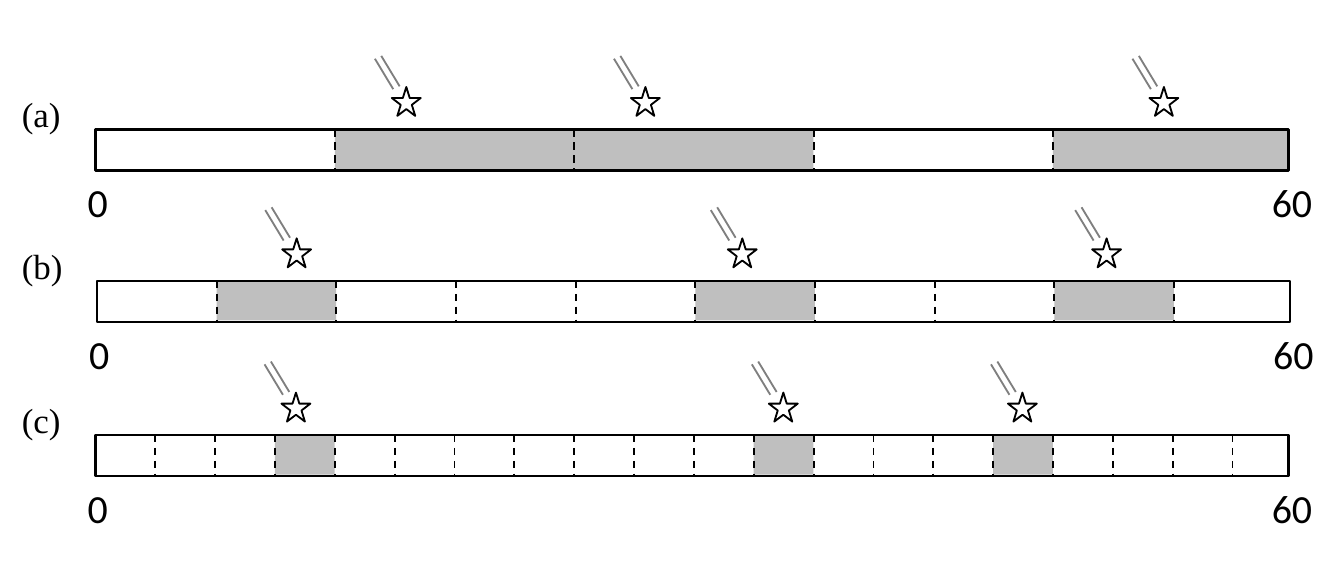
from lxml import etree
from pptx import Presentation
from pptx.dml.color import RGBColor
from pptx.enum.dml import MSO_LINE
from pptx.enum.shapes import MSO_CONNECTOR, MSO_SHAPE
from pptx.enum.text import MSO_AUTO_SIZE
from pptx.oxml.ns import qn
from pptx.util import Cm, Pt

RECTANGLE = MSO_SHAPE.RECTANGLE
STAR = MSO_SHAPE.STAR_5_POINT
STRAIGHT = MSO_CONNECTOR.STRAIGHT
DASH = MSO_LINE.DASH
FIT_SHAPE = MSO_AUTO_SIZE.SHAPE_TO_FIT_TEXT

COLORS = {"ink": "000000", "shade": "BFBFBF", "trail": "7F7F7F"}

# All lengths are in centimetres.
BAR_WIDTH, BAR_HEIGHT = 16.87, 0.58
SHADE_HEIGHT = 0.56
UNITS = 20
UNIT_WIDTH = 16.92 / UNITS
STAR_SIZE = 0.41
STAR_RISE = 0.6
TRAILS = [(-0.24, -0.4, 0.02, 0.03), (-0.15, -0.44, 0.11, -0.01)]

# label, left, top, number of intervals, shaded intervals, left edges of stars
TIMELINES = [
    ("(a)", 1.35, 1.83, 5, (1, 2, 4), (5.54, 8.92, 16.25)),
    ("(b)", 1.37, 3.97, 10, (1, 5, 8), (3.99, 10.29, 15.44)),
    ("(c)", 1.35, 6.15, 20, (3, 11, 15), (3.98, 10.87, 14.25)),
]


class TimelineSlide:
    def __init__(self, presentation):
        self.slide = presentation.slides.add_slide(presentation.slide_layouts[6])
        self.shapes = self.slide.shapes

    def shape(self, kind, left, top, width, height, fill=None, line=None,
              line_width=1, parent=None):
        shape = (parent or self.shapes).add_shape(
            kind, Cm(left), Cm(top), Cm(width), Cm(height))
        shape.shadow.inherit = False
        if fill:
            shape.fill.solid()
            shape.fill.fore_color.rgb = RGBColor.from_string(COLORS[fill])
        else:
            shape.fill.background()
        if line:
            shape.line.color.rgb = RGBColor.from_string(COLORS[line])
            shape.line.width = Pt(line_width)
        else:
            shape.line.fill.background()

    def line(self, x1, y1, x2, y2, color="ink", dash=None, parent=None):
        connector = (parent or self.shapes).add_connector(
            STRAIGHT, Cm(x1), Cm(y1), Cm(x2), Cm(y2))
        connector.line.color.rgb = RGBColor.from_string(COLORS[color])
        connector.line.width = Pt(0.75)
        if dash:
            connector.line.dash_style = dash
        etree.SubElement(connector._element.spPr, qn("a:effectLst"))

    def text(self, text, left, top, width, height, size=16, font="Calibri", color="ink"):
        box = self.shapes.add_textbox(Cm(left), Cm(top), Cm(width), Cm(height))
        frame = box.text_frame
        frame.word_wrap = False
        frame.auto_size = FIT_SHAPE
        paragraph = frame.paragraphs[0]
        run = paragraph.add_run()
        run.text = text
        run.font.size = Pt(size)
        run.font.name = font
        run.font.color.rgb = RGBColor.from_string(COLORS[color])

    def shooting_star(self, left, top):
        group = self.shapes.add_group_shape().shapes
        self.shape(STAR, left, top, STAR_SIZE, STAR_SIZE, line="ink",
                   line_width=0.75, parent=group)
        for x1, y1, x2, y2 in TRAILS:
            self.line(left + x1, top + y1, left + x2, top + y2,
                      color="trail", parent=group)

    def timeline(self, label, left, top, intervals, shaded, stars):
        step = UNIT_WIDTH * UNITS / intervals
        for index in shaded:
            start = index * step
            width = min(step, BAR_WIDTH - start)
            self.shape(RECTANGLE, left + start, top, width, SHADE_HEIGHT, fill="shade")
        self.shape(RECTANGLE, left, top, BAR_WIDTH, BAR_HEIGHT, line="ink")
        for index in range(1, intervals):
            x = left + index * step
            self.line(x, top, x, top + BAR_HEIGHT, dash=DASH)
        for star_left in stars:
            self.shooting_star(star_left, top - STAR_RISE)
        self.text("0", left - 0.36, top + 0.56, 0.79, 0.94)
        self.text("60", left + 16.38, top + 0.56, 1.07, 0.94)
        self.text(label, 0.06, top - 0.64, 1.14, 0.86, size=14, font="Times New Roman")


def main():
    presentation = Presentation()
    presentation.slide_width = Cm(19)
    presentation.slide_height = Cm(8)
    timeline_slide = TimelineSlide(presentation)
    for timeline in TIMELINES:
        timeline_slide.timeline(*timeline)
    presentation.save("out.pptx")


if __name__ == "__main__":
    main()
